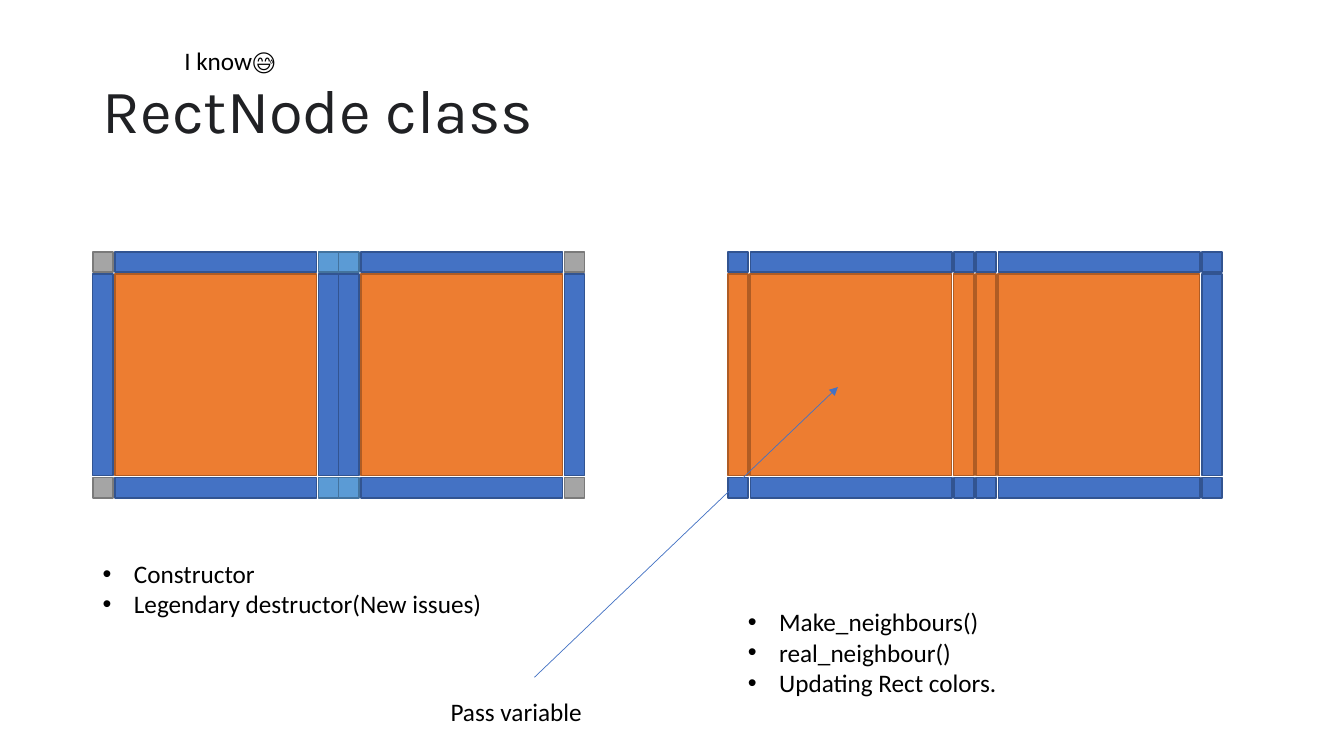
from dataclasses import dataclass

from lxml import etree
from pptx import Presentation
from pptx.dml.color import RGBColor
from pptx.enum.shapes import MSO_CONNECTOR, MSO_SHAPE
from pptx.enum.text import MSO_ANCHOR, MSO_AUTO_SIZE, PP_ALIGN
from pptx.oxml.ns import qn
from pptx.util import Inches, Pt

RECT = MSO_SHAPE.RECTANGLE
STRAIGHT = MSO_CONNECTOR.STRAIGHT
MIDDLE = MSO_ANCHOR.MIDDLE
GROW = MSO_AUTO_SIZE.SHAPE_TO_FIT_TEXT
LEFT = PP_ALIGN.LEFT

COLORS = {"orange": "ED7D31", "blue": "4472C4", "gray": "A5A5A5",
          "light": "5B9BD5", "title": "202124", "text": "000000"}
OUTLINES = {"orange": "AF5C24", "blue": "325491", "gray": "7A7A7A",
            "light": "43739E"}

NODE_TOP = 2.5
OFFSETS = (0, 0.22, 2.24)
SIZES = (0.2, 2, 0.2)
BULLET_INDENT = 0.31


@dataclass
class Node:
    left: float
    left_side: str
    right_side: str
    left_corner: str
    right_corner: str

    def tiles(self) -> list[tuple[int, int, str]]:
        """Column, row and colour of each tile, from back to front."""
        return [(1, 1, "orange"), (2, 1, self.right_side),
                (0, 1, self.left_side), (1, 0, "blue"), (1, 2, "blue"),
                (0, 0, self.left_corner), (2, 0, self.right_corner),
                (2, 2, self.right_corner), (0, 2, self.left_corner)]


@dataclass
class Note:
    left: float
    top: float
    width: float
    height: float
    lines: tuple[str, ...]
    bulleted: bool = False


NODE_GROUPS = (
    (Node(0.92, "blue", "blue", "gray", "light"),),
    (Node(7.22, "orange", "orange", "blue", "blue"),
     Node(9.68, "orange", "blue", "blue", "blue")),
    (Node(3.36, "blue", "blue", "light", "gray"),),
)

NOTES = (
    Note(1.73, 0.4, 1.86, 0.4, ("I know😅",)),
    Note(0.92, 5.49, 4.01, 0.71,
         ("Constructor", "Legendary destructor(New issues)"), True),
    Note(4.37, 6.86, 1.86, 0.4, ("Pass variable",)),
    Note(7.32, 5.97, 4.01, 1.01,
         ("Make_neighbours()", "real_neighbour()", "Updating Rect colors."),
         True),
)


def rgb(color: str) -> RGBColor:
    return RGBColor.from_string(color)


def add_run(p, text: str, size: float, name: str, color: str) -> None:
    r = p.add_run()
    r.text = text
    for key, value in {"size": Pt(size), "name": name}.items():
        setattr(r.font, key, value)
    r.font.color.rgb = rgb(color)


def add_title(s, text: str) -> None:
    title = s.shapes.title
    place = {"left": 0.92, "top": 0.4, "width": 11.5, "height": 1.45}
    for key, value in place.items():
        setattr(title, key, Inches(value))
    title.text_frame.vertical_anchor = MIDDLE
    p = title.text_frame.paragraphs[0]
    p.alignment = LEFT
    p.line_spacing = 0.9
    add_run(p, text, 44, "Karla", COLORS["title"])


def add_bullet(p) -> None:
    ppr = p._p.get_or_add_pPr()
    ppr.set("marL", str(Inches(BULLET_INDENT)))
    ppr.set("indent", str(-Inches(BULLET_INDENT)))
    etree.SubElement(ppr, qn("a:buFont"), typeface="Arial")
    etree.SubElement(ppr, qn("a:buChar"), char="•")


def add_note(s, note: Note) -> None:
    box = s.shapes.add_textbox(Inches(note.left), Inches(note.top),
                               Inches(note.width), Inches(note.height))
    tf = box.text_frame
    tf.word_wrap = True
    tf.auto_size = GROW
    for i, line in enumerate(note.lines):
        p = tf.add_paragraph() if i else tf.paragraphs[0]
        if note.bulleted:
            add_bullet(p)
        add_run(p, line, 18, "Calibri", COLORS["text"])


def add_tile(group, node: Node, col: int, row: int, color: str) -> None:
    """Draw one tile; those of the top and bottom rows are turned upright bars."""
    width, height = SIZES[col], SIZES[row]
    left, top = node.left + OFFSETS[col], NODE_TOP + OFFSETS[row]
    turned = row != 1
    if turned:
        left += (width - height) / 2
        top += (height - width) / 2
        width, height = height, width
    tile = group.shapes.add_shape(RECT, Inches(left), Inches(top),
                                  Inches(width), Inches(height))
    tile.rotation = 90 if turned else 0
    tile.shadow.inherit = False
    tile.fill.solid()
    tile.fill.fore_color.rgb = rgb(COLORS[color])
    tile.line.color.rgb = rgb(OUTLINES[color])
    tile.line.width = Pt(1)


def add_arrow(s, start: tuple[float, float], end: tuple[float, float]) -> None:
    points = [Inches(value) for value in start + end]
    arrow = s.shapes.add_connector(STRAIGHT, *points)
    arrow.line.color.rgb = rgb(COLORS["blue"])
    arrow.line.width = Pt(0.5)
    etree.SubElement(arrow.line._get_or_add_ln(), qn("a:tailEnd"),
                     type="triangle")
    etree.SubElement(arrow._element.spPr, qn("a:effectLst"))


def main() -> None:
    prs = Presentation()
    prs.slide_width, prs.slide_height = Inches(13.33), Inches(7.5)
    s = prs.slides.add_slide(prs.slide_layouts[5])
    add_title(s, "RectNode class")
    for nodes in NODE_GROUPS:
        group = s.shapes.add_group_shape()
        for node in nodes:
            for col, row, color in node.tiles():
                add_tile(group, node, col, row, color)
    for note in NOTES:
        add_note(s, note)
    add_arrow(s, (5.3, 6.72), (8.31, 3.84))
    prs.save("out.pptx")


if __name__ == "__main__":
    main()
